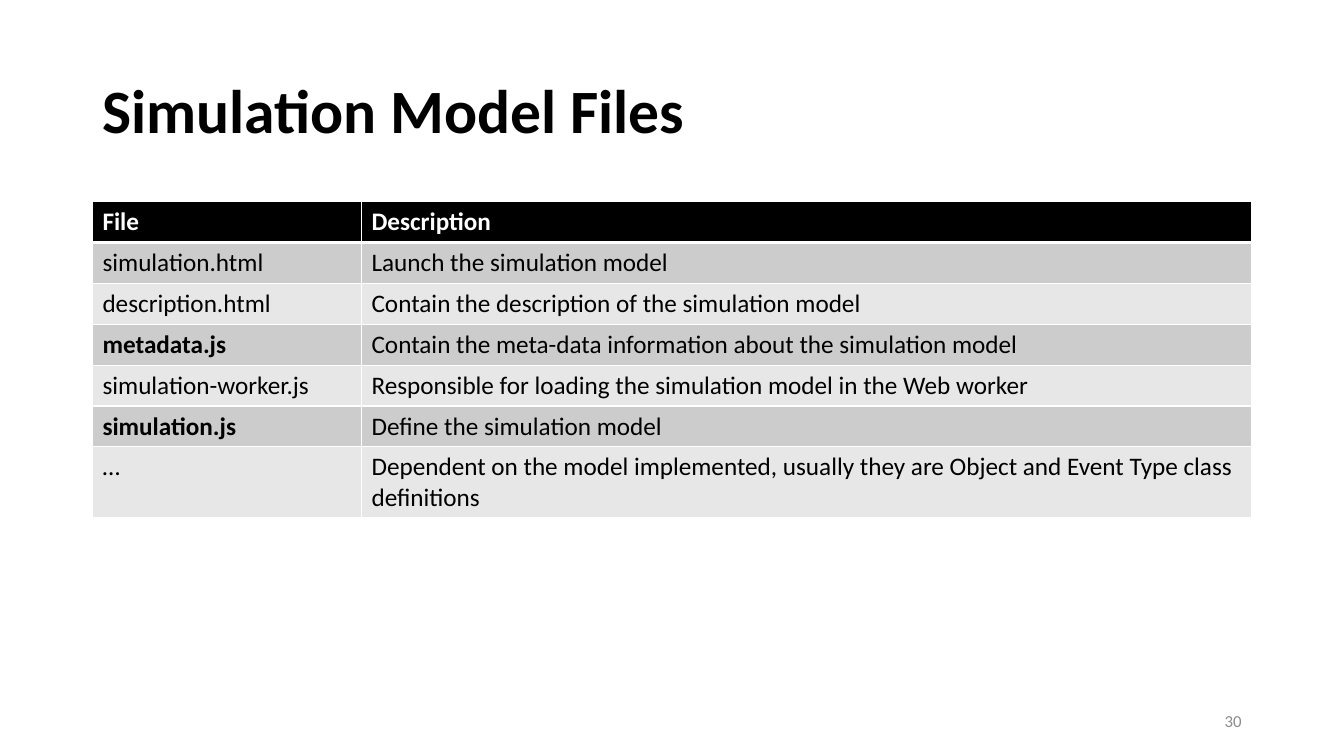
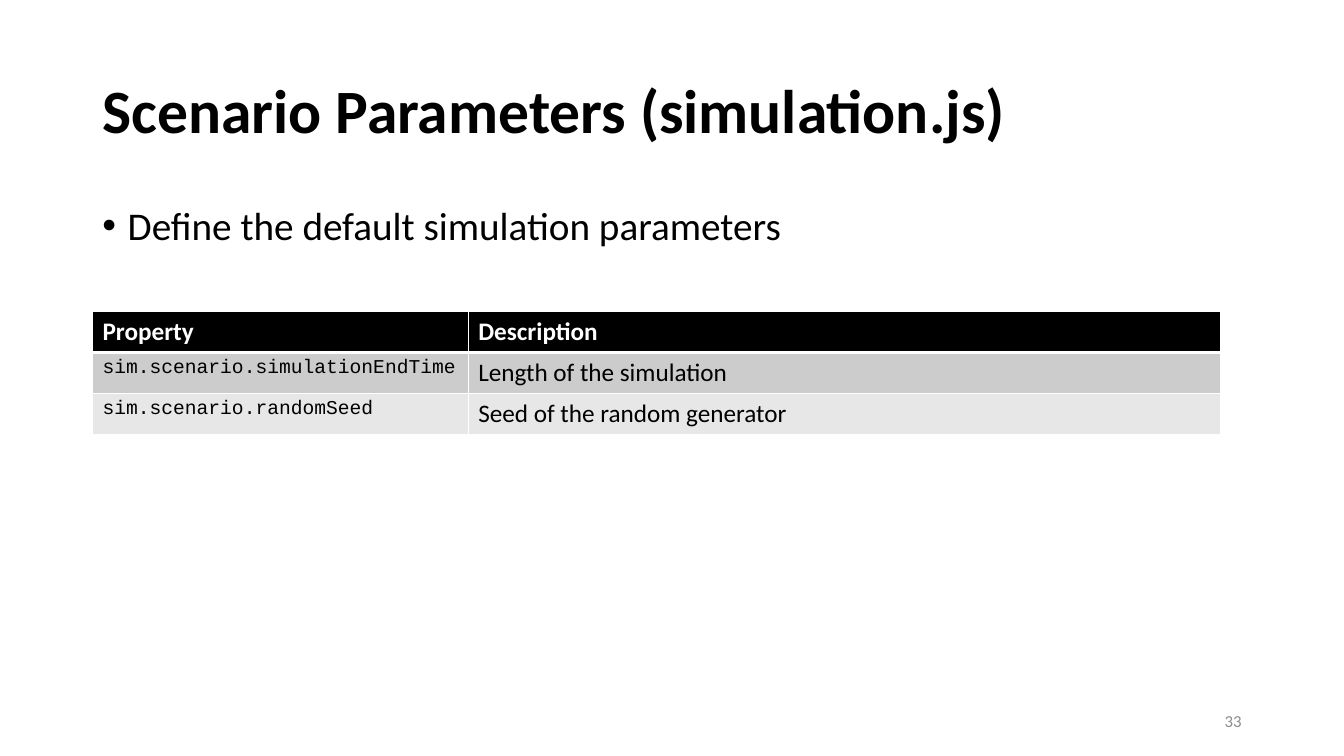
"""Build two slides that list simulation model files and scenario parameters."""
from lxml import etree
from pptx import Presentation
from pptx.dml.color import RGBColor
from pptx.enum.text import MSO_ANCHOR, PP_ALIGN
from pptx.oxml.ns import qn
from pptx.util import Cm, Pt

MIDDLE, TOP = MSO_ANCHOR.MIDDLE, MSO_ANCHOR.TOP
LEFT, RIGHT = PP_ALIGN.LEFT, PP_ALIGN.RIGHT

BLACK = RGBColor(0x00, 0x00, 0x00)
WHITE = RGBColor(0xFF, 0xFF, 0xFF)
GRAY = RGBColor(0x8C, 0x8C, 0x8C)
BANDS = [RGBColor(0xCC, 0xCC, 0xCC), RGBColor(0xE7, 0xE7, 0xE7)]

TITLE = {"name": "Calibri", "size": Pt(44), "bold": True, "color": BLACK}
BODY = {"name": "Calibri", "size": Pt(28), "bold": False, "color": BLACK}
NUMBER = {"name": "Calibri", "size": Pt(12), "bold": False, "color": GRAY}
HEAD = {"name": "Calibri", "size": Pt(18), "bold": True, "color": WHITE}
CELL = {**HEAD, "bold": False, "color": BLACK}
STRONG = {**CELL, "bold": True}
CODE = {**CELL, "name": "Courier New", "size": Pt(14)}

MARGIN = Cm(2.33)
CONTENT_W = Cm(29.21)
ROW_H = Cm(1.03)

SLIDES = [
    {
        "title": "Simulation Model Files",
        "number": "30",
        "bullets": [],
        "top": Cm(5.08),
        "widths": [Cm(6.78), Cm(22.43)],
        "head": ["File", "Description"],
        "rows": [
            ("simulation.html", CELL, "Launch the simulation model"),
            ("description.html", CELL, "Contain the description of the simulation model"),
            ("metadata.js", STRONG, "Contain the meta-data information about the simulation model"),
            ("simulation-worker.js", CELL, "Responsible for loading the simulation model in the Web worker"),
            ("simulation.js", STRONG, "Define the simulation model"),
            ("…", CELL, "Dependent on the model implemented, usually they are "
                        "Object and Event Type class definitions"),
        ],
    },
    {
        "title": "Scenario Parameters (simulation.js)",
        "number": "33",
        "bullets": ["Define the default simulation parameters"],
        "top": Cm(7.85),
        "widths": [Cm(9.47), Cm(18.95)],
        "head": ["Property", "Description"],
        "rows": [
            ("sim.scenario.simulationEndTime", CODE, "Length of the simulation"),
            ("sim.scenario.randomSeed", CODE, "Seed of the random generator"),
        ],
    },
]


def write(p, text, fmt):
    r = p.add_run()
    r.text = text
    for key, value in fmt.items():
        if key == "color":
            r.font.color.rgb = value
        else:
            setattr(r.font, key, value)


def add_text(s, box, text, fmt, anchor=MIDDLE, align=LEFT, spacing=None):
    tf = s.shapes.add_textbox(*box).text_frame
    tf.word_wrap = True
    tf.vertical_anchor = anchor
    p = tf.paragraphs[0]
    p.alignment = align
    p.line_spacing = spacing
    write(p, text, fmt)
    return tf


prs = Presentation()
prs.slide_width, prs.slide_height = Cm(33.87), Cm(19.05)

for page in SLIDES:
    s = prs.slides.add_slide(prs.slide_layouts[6])
    add_text(s, (MARGIN, Cm(1.01), CONTENT_W, Cm(3.68)), page["title"], TITLE, spacing=0.9)

    for text in page["bullets"]:
        tf = add_text(s, (MARGIN, Cm(5.07), CONTENT_W, Cm(12.09)), text, BODY, TOP, spacing=0.9)
        pPr = tf.paragraphs[0]._p.get_or_add_pPr()
        pPr.set("marL", str(Cm(0.64)))
        pPr.set("indent", str(-Cm(0.64)))
        etree.SubElement(pPr, qn("a:buFont"), typeface="Arial")
        etree.SubElement(pPr, qn("a:buChar"), char="•")

    rows = [[(text, HEAD) for text in page["head"]]]
    rows += [[(name, fmt), (text, CELL)] for name, fmt, text in page["rows"]]
    table = s.shapes.add_table(len(rows), 2, MARGIN, page["top"],
                               sum(page["widths"]), ROW_H * len(rows)).table
    for column, width in zip(table.columns, page["widths"]):
        column.width = width

    for i, row in enumerate(rows):
        table.rows[i].height = ROW_H
        for j, (text, fmt) in enumerate(row):
            cell = table.cell(i, j)
            write(cell.text_frame.paragraphs[0], text, fmt)
            tcPr = cell._tc.get_or_add_tcPr()
            borders = {"L": 1, "R": 1, "T": 3 if i == 1 else 1, "B": 3 if i == 0 else 1}
            for side, width in borders.items():
                ln = etree.SubElement(tcPr, qn(f"a:ln{side}"), w=str(Pt(width)))
                fill = etree.SubElement(ln, qn("a:solidFill"))
                etree.SubElement(fill, qn("a:srgbClr"), val=str(WHITE))
            cell.fill.solid()
            cell.fill.fore_color.rgb = BANDS[(i - 1) % 2] if i else BLACK

    add_text(s, (Cm(23.92), Cm(17.66), Cm(7.62), Cm(1.01)), page["number"], NUMBER, align=RIGHT)

prs.save("out.pptx")
